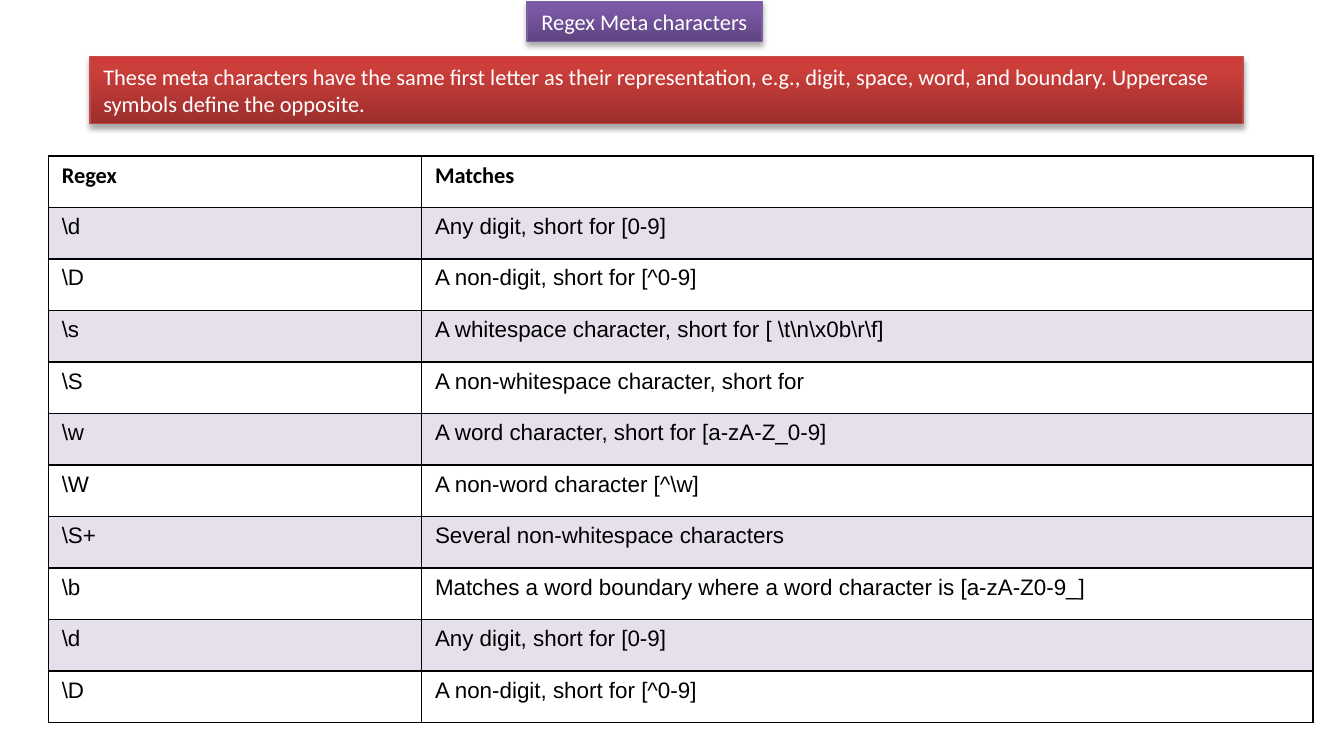
from lxml import etree
from pptx import Presentation
from pptx import util as u
from pptx.dml.color import RGBColor
from pptx.enum import shapes, text
from pptx.oxml import parse_xml
from pptx.oxml.ns import nsdecls, qn

WHITE = RGBColor(0xFF, 0xFF, 0xFF)
BLACK = RGBColor(0x00, 0x00, 0x00)
BAND = RGBColor(0x80, 0x64, 0xA2)
PURPLE_LINE = RGBColor(0x7D, 0x60, 0xA0)
PURPLE_STOPS = (RGBColor(0x5F, 0x44, 0x80), RGBColor(0x7B, 0x58, 0xA6), RGBColor(0x7C, 0x57, 0xA8))
RED_LINE = RGBColor(0xBF, 0x4C, 0x48)
RED_STOPS = (RGBColor(0x9C, 0x2F, 0x2D), RGBColor(0xCB, 0x3E, 0x3A), RGBColor(0xCE, 0x3B, 0x37))
STOP_POSITIONS = (0, 80, 100)
BAND_OPACITY = 20
FONT_SIZE = u.Pt(12)

TITLE = "Regex Meta characters"
EXPLANATION = (
    "These meta characters have the same first letter as their representation, "
    "e.g., digit, space, word, and boundary. Uppercase symbols define the opposite."
)
ROWS = [
    ("Regex", "Matches"),
    (r"\d", "Any digit, short for [0-9]"),
    (r"\D", "A non-digit, short for [^0-9]"),
    (r"\s", r"A whitespace character, short for [ \t\n\x0b\r\f]"),
    (r"\S", "A non-whitespace character, short for"),
    (r"\w", "A word character, short for [a-zA-Z_0-9]"),
    (r"\W", r"A non-word character [^\w]"),
    (r"\S+", "Several non-whitespace characters"),
    (r"\b", "Matches a word boundary where a word character is [a-zA-Z0-9_]"),
    (r"\d", "Any digit, short for [0-9]"),
    (r"\D", "A non-digit, short for [^0-9]"),
]
COLUMN_WEIGHTS = (2.78, 6.64)


def box(left, top, width, height):
    return tuple(u.Inches(value) for value in (left, top, width, height))


def add_run(paragraph, words, font_name, color, bold=False):
    run = paragraph.add_run()
    run.text = words
    run.font.name = font_name
    run.font.size = FONT_SIZE
    run.font.bold = bold
    run.font.color.rgb = color


def add_banner(slide, area, words, stops, line_color, alignment):
    """Add a rectangle with a vertical gradient and a soft shadow below it."""
    shape = slide.shapes.add_shape(shapes.MSO_SHAPE.RECTANGLE, *area)
    shape.line.color.rgb = line_color
    shape.line.width = u.Pt(0.75)
    stop_xml = "".join(
        f'<a:gs pos="{position * 1000}"><a:srgbClr val="{color}"/></a:gs>'
        for position, color in zip(STOP_POSITIONS, stops)
    )
    properties = shape.element.spPr
    properties.find(qn("a:prstGeom")).addnext(parse_xml(
        f'<a:gradFill {nsdecls("a")} rotWithShape="1"><a:gsLst>{stop_xml}</a:gsLst>'
        '<a:lin ang="16200000" scaled="0"/></a:gradFill>'
    ))
    properties.append(parse_xml(
        f'<a:effectLst {nsdecls("a")}><a:outerShdw blurRad="40000" dist="23000" '
        'dir="5400000" rotWithShape="0"><a:srgbClr val="000000"><a:alpha val="35000"/>'
        '</a:srgbClr></a:outerShdw></a:effectLst>'
    ))
    frame = shape.text_frame
    frame.word_wrap = True
    frame.auto_size = text.MSO_AUTO_SIZE.SHAPE_TO_FIT_TEXT
    frame.vertical_anchor = text.MSO_ANCHOR.TOP
    paragraph = frame.paragraphs[0]
    paragraph.alignment = alignment
    add_run(paragraph, words, "Calibri", WHITE)


def style_cell(cell, banded):
    properties = cell._tc.get_or_add_tcPr()
    for side in ("lnL", "lnR", "lnT", "lnB"):
        properties.append(parse_xml(
            f'<a:{side} {nsdecls("a")} w="{u.Pt(1)}"><a:solidFill>'
            f'<a:srgbClr val="{BLACK}"/></a:solidFill></a:{side}>'
        ))
    if banded:
        cell.fill.solid()
        cell.fill.fore_color.rgb = BAND
        color = properties.find(qn("a:solidFill")).find(qn("a:srgbClr"))
        etree.SubElement(color, qn("a:alpha")).set("val", str(BAND_OPACITY * 1000))
    else:
        cell.fill.background()


def add_regex_table(slide, area):
    width, height = area[2:]
    table = slide.shapes.add_table(len(ROWS), len(COLUMN_WEIGHTS), *area).table
    table.first_row = False
    table.horz_banding = False
    for column, weight in zip(table.columns, COLUMN_WEIGHTS):
        column.width = int(width * weight / sum(COLUMN_WEIGHTS))
    for row_index, words_in_row in enumerate(ROWS):
        table.rows[row_index].height = height // len(ROWS)
        is_header = row_index == 0
        for column_index, words in enumerate(words_in_row):
            cell = table.cell(row_index, column_index)
            style_cell(cell, banded=row_index % 2 == 1)
            font_name = "Calibri" if is_header else "Arial"
            add_run(cell.text_frame.paragraphs[0], words, font_name, BLACK, is_header)


def main():
    presentation = Presentation()
    presentation.slide_width = u.Inches(10)
    presentation.slide_height = u.Inches(5.5)
    slide = presentation.slides.add_slide(presentation.slide_layouts[6])
    add_banner(slide, box(3.92, 0.01, 1.75, 0.3), TITLE,
               PURPLE_STOPS, PURPLE_LINE, text.PP_ALIGN.CENTER)
    add_regex_table(slide, box(0.36, 1.16, 9.41, 4.22))
    add_banner(slide, box(0.67, 0.42, 8.58, 0.5), EXPLANATION,
               RED_STOPS, RED_LINE, text.PP_ALIGN.LEFT)
    presentation.save("out.pptx")


if __name__ == "__main__":
    main()
